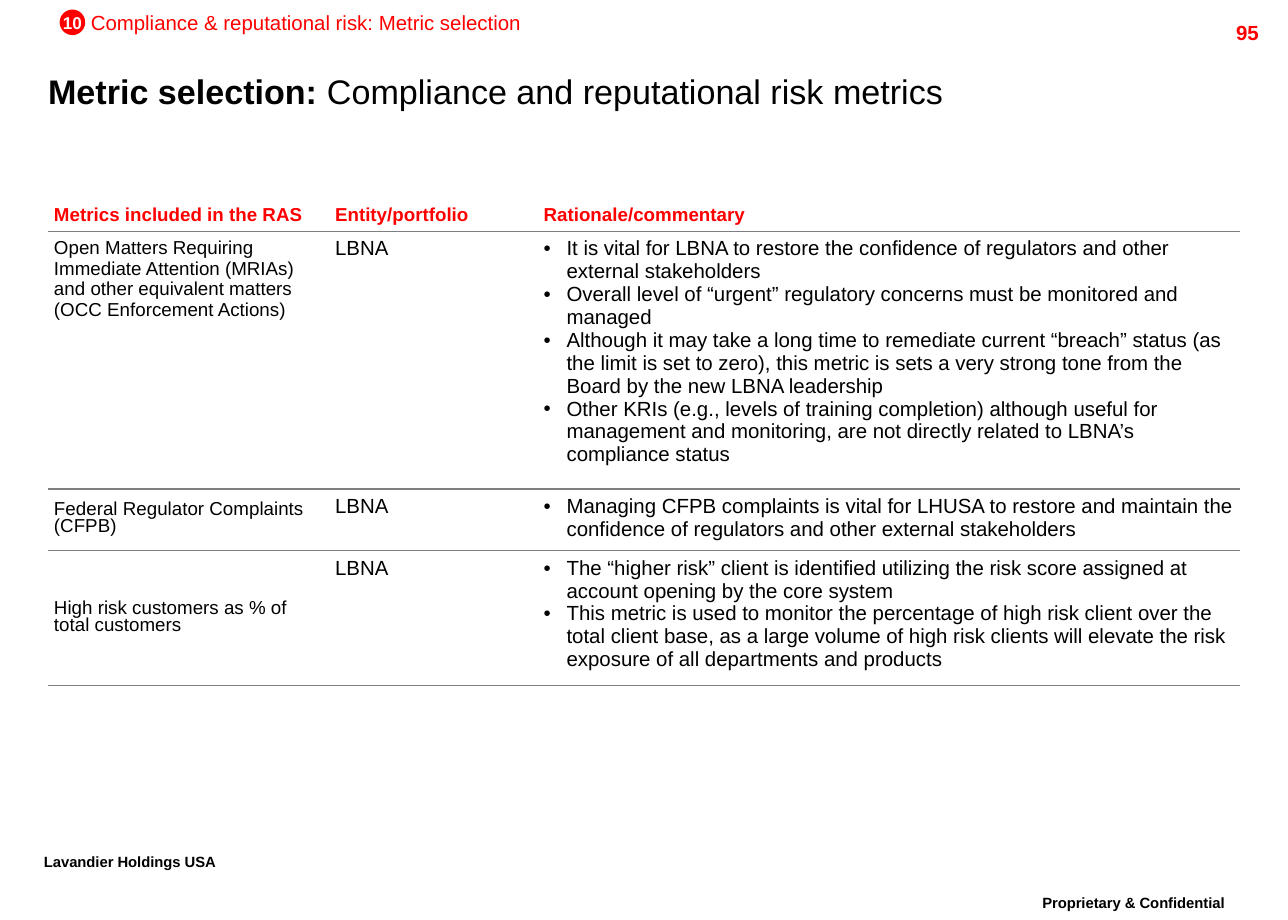
from lxml.etree import SubElement
from pptx import Presentation
from pptx.dml.color import RGBColor
from pptx.enum.shapes import MSO_SHAPE as Shape
from pptx.enum.text import MSO_ANCHOR as Anchor, MSO_AUTO_SIZE as AutoSize, PP_ALIGN as Align
from pptx.oxml import parse_xml
from pptx.oxml.ns import nsdecls, qn
from pptx.util import Pt

RED = RGBColor(0xFF, 0x00, 0x00)
BLACK = RGBColor(0x00, 0x00, 0x00)
WHITE = RGBColor(0xFF, 0xFF, 0xFF)
GREY = RGBColor(0x7F, 0x7F, 0x7F)
FONT = "Arial"
TIGHT = 0.86
INDENT = Pt(13.5)
NO_STYLE = "{2D5ABB26-0587-4C30-8999-92F81FD0307C}"
COLUMN_WIDTHS = (165, 122.4, 412.6)
ROW_HEIGHTS = (20.4, 151.4, 35.8, 79.2)
HEADINGS = ("Metrics included in the RAS", "Entity/portfolio", "Rationale/commentary")
METRICS = (
    ("Open Matters Requiring Immediate Attention (MRIAs) and other equivalent matters "
     "(OCC Enforcement Actions)", "LBNA", (
        "It is vital for LBNA to restore the confidence of regulators and other external stakeholders",
        "Overall level of “urgent” regulatory concerns must be monitored and managed",
        "Although it may take a long time to remediate current “breach” status (as the limit is set "
        "to zero), this metric is sets a very strong tone from the Board by the new LBNA leadership",
        "Other KRIs (e.g., levels of training completion) although useful for management and "
        "monitoring, are not directly related to LBNA’s compliance status")),
    ("Federal Regulator Complaints (CFPB)", "LBNA", (
        "Managing CFPB complaints is vital for LHUSA to restore and maintain the confidence of "
        "regulators and other external stakeholders",)),
    ("High risk customers as % of total customers", "LBNA", (
        "The “higher risk” client is identified utilizing the risk score assigned at account "
        "opening by the core system",
        "This metric is used to monitor the percentage of high risk client over the total client "
        "base, as a large volume of high risk clients will elevate the risk exposure of all "
        "departments and products")),
)


def style_font(font, size, color, bold=False):
    font.name = FONT
    font.size = Pt(size)
    font.bold = bold
    font.color.rgb = color


def set_margins(frame, margin):
    frame.margin_left = frame.margin_right = Pt(margin)
    frame.margin_top = frame.margin_bottom = Pt(margin)


def add_label(slide, text, left, top, width, height, size, color, bold=False, align=Align.LEFT):
    box = slide.shapes.add_textbox(Pt(left), Pt(top), Pt(width), Pt(height))
    box.text_frame.word_wrap = True
    para = box.text_frame.paragraphs[0]
    para.text = text
    para.alignment = align
    style_font(para.font, size, color, bold)
    return box


def add_footer(slide, text, left, top, width, align):
    box = add_label(slide, text, left, top, width, 25.2, 15, BLACK, True, align)
    para = box.text_frame.paragraphs[0]
    para.line_spacing = TIGHT
    para.runs[0].font._element.set("baseline", "30000")


def add_badge(slide, text, left, top, size):
    badge = slide.shapes.add_shape(Shape.OVAL, Pt(left), Pt(top), Pt(size), Pt(size))
    badge.shadow.inherit = False
    badge.fill.solid()
    badge.fill.fore_color.rgb = RED
    badge.line.fill.background()
    frame = badge.text_frame
    frame.word_wrap = False
    frame.vertical_anchor = Anchor.MIDDLE
    set_margins(frame, 0)
    para = frame.paragraphs[0]
    para.text = text
    para.alignment = Align.CENTER
    style_font(para.font, 10, WHITE, True)


def set_title(slide, lead, rest):
    title = slide.shapes.title
    title.left, title.top, title.width, title.height = Pt(21), Pt(41), Pt(735), Pt(28)
    frame = title.text_frame
    frame.auto_size = AutoSize.NONE
    frame.vertical_anchor = Anchor.TOP
    para = frame.paragraphs[0]
    para.alignment = Align.LEFT
    para.line_spacing = TIGHT
    style_font(para.font, 20, BLACK)
    for text, bold in ((lead, True), (rest, False)):
        span = para.add_run()
        span.text = text
        span.font.bold = bold


def add_bullet(para):
    properties = para._p.get_or_add_pPr()
    properties.set("marL", str(INDENT))
    properties.set("indent", str(-INDENT))
    SubElement(properties, qn("a:buFont")).set("typeface", FONT)
    SubElement(properties, qn("a:buChar")).set("char", "•")


def rule_below(cell):
    border = parse_xml(f'<a:lnB {nsdecls("a")} w="{Pt(0.75)}"><a:solidFill>'
                       f'<a:srgbClr val="{GREY}"/></a:solidFill></a:lnB>')
    cell._tc.get_or_add_tcPr().insert(0, border)


def fill_cell(cell, texts, size, color=BLACK, bold=False, anchor=Anchor.TOP, spacing=None, bullets=False):
    cell.fill.background()
    rule_below(cell)
    set_margins(cell, 3.6)
    cell.vertical_anchor = anchor
    frame = cell.text_frame
    for index, text in enumerate(texts):
        para = frame.add_paragraph() if index else frame.paragraphs[0]
        para.text = text
        if spacing:
            para.line_spacing = spacing
        if bullets:
            add_bullet(para)
        style_font(para.font, size, color, bold)


def add_metric_table(slide):
    frame = slide.shapes.add_table(len(ROW_HEIGHTS), len(COLUMN_WIDTHS), Pt(28.1), Pt(115.2),
                                   Pt(sum(COLUMN_WIDTHS)), Pt(sum(ROW_HEIGHTS)))
    table = frame.table
    table.first_row = table.horz_banding = False
    table._tbl.tblPr.find(qn("a:tableStyleId")).text = NO_STYLE
    for column, width in zip(table.columns, COLUMN_WIDTHS):
        column.width = Pt(width)
    for row, height in zip(table.rows, ROW_HEIGHTS):
        row.height = Pt(height)
    for column, heading in enumerate(HEADINGS):
        spacing = None if column == 1 else TIGHT
        fill_cell(table.cell(0, column), [heading], 11, RED, True, Anchor.BOTTOM, spacing)
    for row, (metric, entity, reasons) in enumerate(METRICS, 1):
        anchor, spacing = (Anchor.TOP, None) if row == 1 else (Anchor.MIDDLE, Pt(10))
        fill_cell(table.cell(row, 0), [metric], 11, anchor=anchor, spacing=spacing)
        fill_cell(table.cell(row, 1), [entity], 12)
        fill_cell(table.cell(row, 2), reasons, 12, bullets=True)


def main():
    deck = Presentation()
    deck.slide_width, deck.slide_height = Pt(756), Pt(540)
    slide = deck.slides.add_slide(deck.slide_layouts[5])
    set_title(slide, "Metric selection: ", "Compliance and reputational risk metrics")
    add_footer(slide, "Proprietary & Confidential", 586.8, 522, 157, Align.CENTER)
    add_footer(slide, "Lavandier Holdings USA", 18.7, 497.5, 137.5, Align.LEFT)
    add_label(slide, "95", 674, 8, 72, 17, 12, RED, True, Align.RIGHT)
    add_metric_table(slide)
    section = add_label(slide, "Compliance & reputational risk: Metric selection",
                        53.3, 6, 270, 14.4, 12, RED)
    set_margins(section.text_frame, 0)
    add_badge(slide, "10", 35, 5.6, 15)
    deck.save("out.pptx")


if __name__ == "__main__":
    main()
